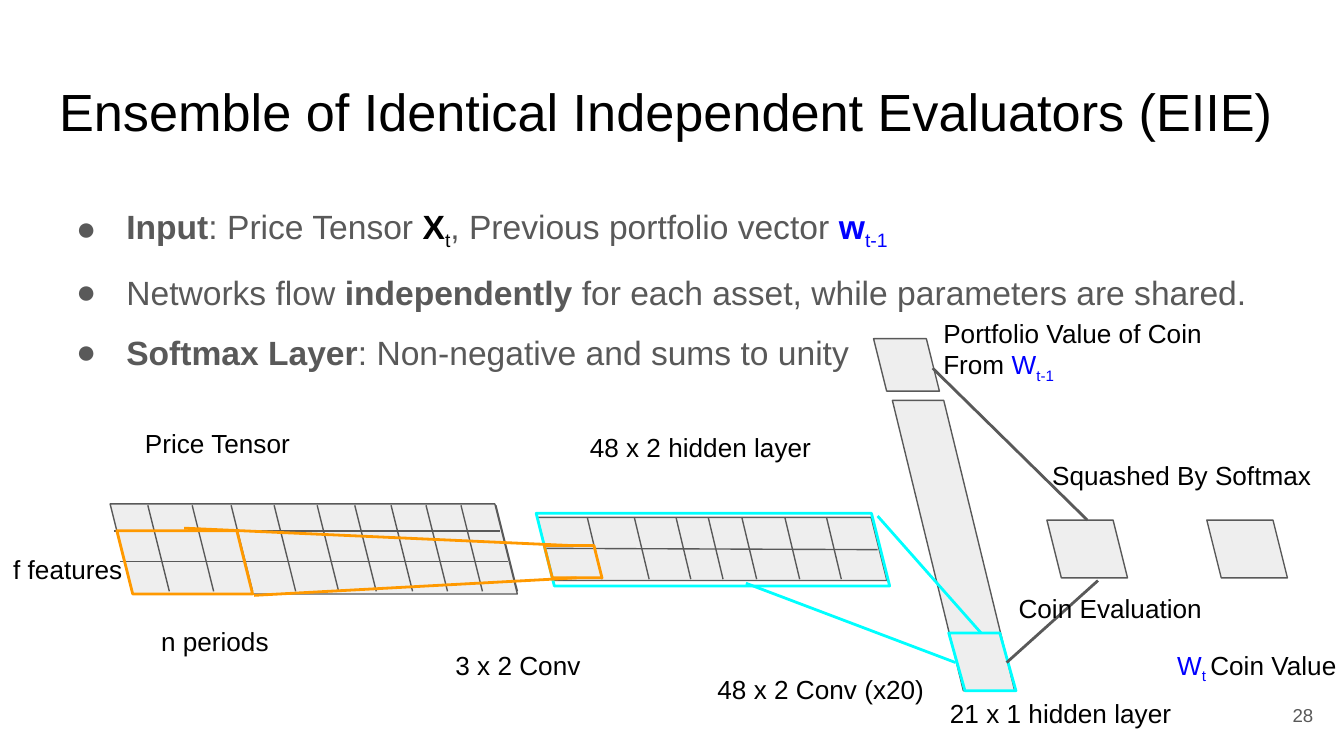
from lxml import etree
from pptx import Presentation, util as u
from pptx.dml.color import RGBColor
from pptx.enum import shapes, text
from pptx.oxml.ns import qn

INCH = 2.54
theme = {
    "font": "Arial",
    "ink": RGBColor(0, 0, 0),
    "gray": RGBColor(0x59, 0x59, 0x59),
    "pale": RGBColor(0xEE, 0xEE, 0xEE),
    "blue": RGBColor(0, 0, 0xFF),
    "cyan": RGBColor(0, 0xFF, 0xFF),
    "gold": RGBColor(0xFF, 0x99, 0),
    "title": 28, "list": 18, "label": 14, "page": 10,
    "thin": 0.75, "thick": 1.5,
}


def place(*vals):
    return [u.Cm(INCH * val) for val in vals]


def write(para, runs, size):
    for words, tone, *marks in runs:
        run = para.add_run()
        run.text = words
        form = {"name": theme["font"], "size": u.Pt(theme[size]), "bold": "bold" in marks}
        for key, val in form.items():
            setattr(run.font, key, val)
        run.font.color.rgb = theme[tone]
        if "sub" in marks:
            run.font._element.set("baseline", "-25000")


deck = Presentation()
deck.slide_width = u.Cm(25.4)
deck.slide_height = deck.slide_width * 9 // 16
slide = deck.slides.add_slide(deck.slide_layouts[1])
title, body = slide.placeholders
inset = u.Cm(0.1 * INCH)
frame = {
    "word_wrap": True,
    "auto_size": text.MSO_AUTO_SIZE.NONE,
    "vertical_anchor": text.MSO_ANCHOR.TOP,
    "margin_left": inset, "margin_right": inset,
    "margin_top": inset, "margin_bottom": inset,
}

for hold, spot in ((title, (0.34, 0.49, 9.32, 0.63)), (body, (0.34, 1.26, 9.32, 3.74))):
    hold.left, hold.top, hold.width, hold.height = place(*spot)
    for key, val in frame.items():
        setattr(hold.text_frame, key, val)

head = title.text_frame.paragraphs[0]
head.alignment = text.PP_ALIGN.LEFT
write(head, [("Ensemble of Identical Independent Evaluators (EIIE)", "ink")], "title")

points = [
    [("Input", "gray", "bold"), (": Price Tensor ", "gray"), ("X", "ink", "bold"),
     ("t", "ink", "sub"), (", Previous portfolio vector ", "gray"),
     ("w", "blue", "bold"), ("t-1", "blue", "sub")],
    [("Networks flow ", "gray"), ("independently", "gray", "bold"),
     (" for each asset, while parameters are shared.", "gray")],
    [("Softmax Layer", "gray", "bold"), (": Non-negative and sums to unity", "gray")],
]
for num, runs in enumerate(points):
    para = body.text_frame.add_paragraph() if num else body.text_frame.paragraphs[0]
    for key, val in {"line_spacing": 1.5, "space_before": u.Pt(0), "space_after": u.Pt(0)}.items():
        setattr(para, key, val)
    props = para._p.get_or_add_pPr()
    props.set("marL", str(u.Cm(1.27)))
    props.set("indent", str(u.Cm(-0.95)))
    tint = etree.SubElement(props, qn("a:buClr"))
    etree.SubElement(tint, qn("a:srgbClr")).set("val", str(theme["gray"]))
    etree.SubElement(props, qn("a:buFont")).set("typeface", theme["font"])
    etree.SubElement(props, qn("a:buChar")).set("char", "●")
    write(para, runs, "list")

tiles = [
    ((0.82, 3.75, 3.03, 0.67), 0.25),
    ((4, 3.85, 2.6, 0.47), 0.25),
    ((7.79, 3.87, 0.6, 0.43), 0.25),
    ((6.64, 2.98, 0.91, 2.16), 0.58),
    ((6.5, 2.52, 0.49, 0.39), 0.25),
    ((8.98, 3.87, 0.6, 0.43), 0.25),
]
frames = [
    ((3.99, 3.82, 2.63, 0.54), 0.25, "cyan"),
    ((4.05, 4.06, 0.43, 0.24), 0.25, "gold"),
    ((0.87, 3.95, 1.01, 0.47), 0.25, "gold"),
    ((7.06, 4.71, 0.5, 0.43), 0.28, "cyan"),
]
rows = [(0.89, 4.18, 3.78, 4.18), (0.85, 3.95, 3.72, 3.95), (4.05, 4.08, 6.53, 4.09)]
price = [1.26, 1.59, 1.88, 2.2, 2.52, 2.8, 3.07, 3.33, 3.59, 3.85]
hidden = [4.48, 4.83, 5.14, 5.38, 5.63, 5.95, 6.26]
cols = [(x, 4.4, x - 0.16, 3.76) for x in price]
cols += [(x, 4.31, x - 0.11, 3.85) for x in hidden]
flows = [
    ((1.89, 4.43, 4.29, 4.3), "gold"),
    ((1.37, 3.93, 4.26, 4.06), "gold"),
    ((6.53, 3.84, 7.3, 4.71), "cyan"),
    ((5.55, 4.34, 7.11, 4.93), "cyan"),
    ((7.49, 4.93, 8.17, 4.32), "gray"),
    ((6.94, 2.74, 8.09, 3.87), "gray"),
]

parts = [("tile", spot, slant, "gray", "thin") for spot, slant in tiles]
parts += [("line", spot, 0, "gray", "thin") for spot in rows + cols]
parts += [("frame", spot, slant, tone, "thick") for spot, slant, tone in frames]
parts += [("line", spot, 0, tone, "thick") for spot, tone in flows]
for kind, spot, slant, tone, weight in parts:
    if kind == "line":
        part = slide.shapes.add_connector(shapes.MSO_CONNECTOR.STRAIGHT, *place(*spot))
        etree.SubElement(part._element.spPr, qn("a:effectLst"))
    else:
        part = slide.shapes.add_shape(shapes.MSO_SHAPE.PARALLELOGRAM, *place(*spot))
        part.adjustments[0] = slant
        part.shadow.inherit = False
        part._element.spPr.xfrm.set("flipH", "1")
        if kind == "tile":
            part.fill.solid()
            part.fill.fore_color.rgb = theme["pale"]
        else:
            part.fill.background()
    part.line.color.rgb = theme[tone]
    part.line.width = u.Pt(theme[weight])

labels = [
    (3.29, 4.73, 1.66, [[("3 x 2 Conv", "ink")]]),
    (5.24, 4.91, 1.93, [[("48 x 2 Conv (x20)", "ink")]]),
    (1.1, 4.55, 1.93, [[("n periods", "ink")]]),
    (0, 4.02, 1.93, [[("f features", "ink")]]),
    (4.29, 3.11, 1.93, [[("48 x 2 hidden layer", "ink")]]),
    (6.92, 2.26, 2.35, [[("Portfolio Value of Coin", "ink")],
                        [("From ", "ink"), ("W", "blue"), ("t-1", "blue", "sub")]]),
    (7.73, 3.32, 2.35, [[("Squashed By Softmax", "ink")]]),
    (8.66, 4.73, 2.35, [[("W", "blue"), ("t ", "blue", "sub"), ("Coin Value", "ink")]]),
    (7.48, 4.31, 2.35, [[("Coin Evaluation", "ink")]]),
    (0.98, 3.08, 1.93, [[("Price Tensor", "ink")]]),
    (6.97, 5.09, 1.93, [[("21 x 1 hidden layer", "ink")]]),
    (9.27, 5.1, 0.6, [[("28", "gray")]]),
]
for left, top, width, lines in labels:
    box = slide.shapes.add_textbox(*place(left, top, width, 0.44)).text_frame
    for key, val in frame.items():
        setattr(box, key, val)
    page = lines[0][0][0] == "28"
    for num, runs in enumerate(lines):
        para = box.add_paragraph() if num else box.paragraphs[0]
        write(para, runs, "page" if page else "label")
    if page:
        box.vertical_anchor = text.MSO_ANCHOR.MIDDLE
        para.alignment = text.PP_ALIGN.RIGHT

deck.save("out.pptx")
